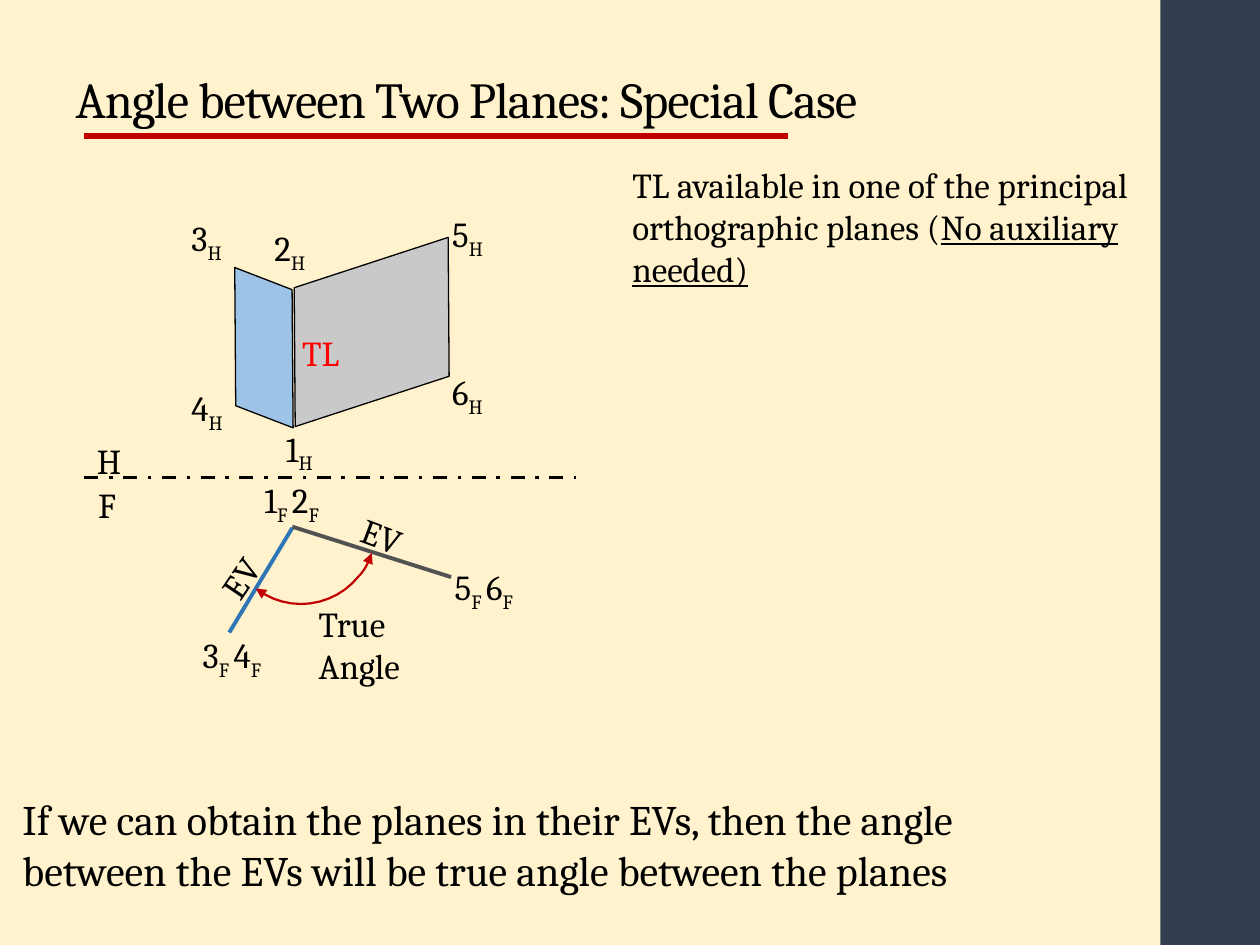
from dataclasses import dataclass

from lxml import etree
from pptx import Presentation, util as u
from pptx.dml.color import RGBColor
from pptx.enum import dml, shapes, text
from pptx.oxml.ns import qn


@dataclass(frozen=True)
class Theme:
    font: str = "Cambria"
    title_size: float = 28.8
    label_size: float = 20
    summary_size: float = 24
    background: str = "FFF2CC"
    sidebar: str = "333F50"
    ink: str = "000000"
    accent: str = "C00000"
    true_length: str = "FF0000"
    gray_plane: str = "C9C9C9"
    blue_plane: str = "9DC3E6"
    gray_edge: str = "525252"
    blue_edge: str = "2E75B6"


def rgb(color):
    return RGBColor.from_string(color)


def bezier(start, first, second, end, steps=12):
    """Points along a cubic curve, without its start."""
    points = []
    for step in range(1, steps + 1):
        t = step / steps
        weights = ((1 - t) ** 3, 3 * t * (1 - t) ** 2, 3 * t * t * (1 - t), t ** 3)
        points.append(tuple(sum(w * p[axis] for w, p in zip(weights, (start, first, second, end)))
                            for axis in (0, 1)))
    return points


class SlideBuilder:
    def __init__(self, page, theme):
        self.page = page
        self.theme = theme
        page.background.fill.solid()
        page.background.fill.fore_color.rgb = rgb(theme.background)

    def style_runs(self, para, size, color):
        for span in para.runs:
            span.font.name = self.theme.font
            span.font.size = u.Pt(size)
            span.font.color.rgb = rgb(color)

    def title(self, words, left, top, width, height):
        box = self.page.shapes.title
        box.left, box.top, box.width, box.height = map(u.Inches, (left, top, width, height))
        frame = box.text_frame
        frame.text = words
        frame.auto_size = text.MSO_AUTO_SIZE.NONE
        frame.vertical_anchor = text.MSO_ANCHOR.BOTTOM
        para = frame.paragraphs[0]
        para.alignment = text.PP_ALIGN.LEFT
        para.line_spacing = 0.9
        self.style_runs(para, self.theme.title_size, self.theme.ink)
        para.runs[0].font._element.set("spc", "-50")

    def shape(self, kind, left, top, width, height, fill, outline=None,
              rotation=0, slant=None, flip=False):
        shape = self.page.shapes.add_shape(kind, *map(u.Inches, (left, top, width, height)))
        shape.shadow.inherit = False
        shape.fill.solid()
        shape.fill.fore_color.rgb = rgb(fill)
        if outline:
            shape.line.color.rgb = rgb(outline)
            shape.line.width = u.Pt(0.75)
        else:
            shape.line.fill.background()
        shape.rotation = rotation
        if slant is not None:
            shape.adjustments[0] = slant
        if flip:
            shape._element.spPr.find(qn("a:xfrm")).set("flipV", "1")

    def line(self, start, end, color, width, dash=None):
        line = self.page.shapes.add_connector(
            shapes.MSO_CONNECTOR.STRAIGHT, *map(u.Inches, (*start, *end)))
        line.line.color.rgb = rgb(color)
        line.line.width = u.Pt(width)
        if dash:
            line.line.dash_style = dash
        etree.SubElement(line._element.spPr, qn("a:effectLst"))

    def double_arrow(self, points, color, width):
        places = [tuple(map(u.Inches, point)) for point in points]
        builder = self.page.shapes.build_freeform(*places[0])
        builder.add_line_segments(places[1:], close=False)
        curve = builder.convert_to_shape()
        curve.shadow.inherit = False
        curve.fill.background()
        curve.line.color.rgb = rgb(color)
        curve.line.width = u.Pt(width)
        outline = curve._element.spPr.find(qn("a:ln"))
        for end in ("a:headEnd", "a:tailEnd"):
            etree.SubElement(outline, qn(end), type="triangle")

    def text(self, lines, left, top, width, height, size=None, color=None,
             rotation=0, wrap=False, underline=False):
        """Every second piece between bars is a subscript, or underlined."""
        box = self.page.shapes.add_textbox(*map(u.Inches, (left, top, width, height)))
        box.rotation = rotation
        frame = box.text_frame
        frame.word_wrap = wrap
        frame.auto_size = text.MSO_AUTO_SIZE.SHAPE_TO_FIT_TEXT
        for number, words in enumerate(lines):
            para = frame.add_paragraph() if number else frame.paragraphs[0]
            for index, piece in enumerate(words.split("|")):
                span = para.add_run()
                span.text = piece
                if index % 2 and underline:
                    span.font.underline = True
                elif index % 2:
                    span.font._element.set("baseline", "-25000")
            self.style_runs(para, size or self.theme.label_size, color or self.theme.ink)


def main():
    theme = Theme()
    deck = Presentation()
    deck.slide_width, deck.slide_height = u.Inches(10), u.Inches(7.5)
    slide = SlideBuilder(deck.slides.add_slide(deck.slide_layouts[5]), theme)
    preset = shapes.MSO_SHAPE

    slide.shape(preset.RECTANGLE, 9.21, 0, 0.79, 7.5, theme.sidebar)
    slide.title("Angle between Two Planes: Special Case", 0.5, 0.08, 7.95, 1)
    slide.line((0.67, 1.08), (6.25, 1.08), theme.accent, 3)

    # Top view: the two planes, meeting in a true-length edge
    slide.shape(preset.PARALLELOGRAM, 2.14, 2.11, 1.62, 1.05, theme.gray_plane,
                theme.ink, rotation=161.9, slant=0.319)
    slide.shape(preset.PARALLELOGRAM, 1.65, 2.25, 0.89, 1.02, theme.blue_plane,
                theme.ink, rotation=21.1, slant=0.452, flip=True)

    # Front view: both planes seen as edges
    slide.line((1.82, 5.02), (2.32, 4.19), theme.blue_edge, 2.25)
    slide.line((2.32, 4.18), (3.58, 4.58), theme.gray_edge, 2.25)
    slide.line((0.67, 3.79), (4.57, 3.79), theme.ink, 2, dml.MSO_LINE.DASH_DOT)

    slide.text(["H"], 0.67, 3.44, 0.44, 0.44)
    slide.text(["F"], 0.68, 3.79, 0.39, 0.44)
    for point, left, top in ((1, 2.17, 3.34), (2, 2.08, 1.75), (4, 1.42, 3.02),
                             (3, 1.42, 1.67), (5, 3.49, 1.64), (6, 3.49, 2.89)):
        slide.text([f"{point}|H"], left, top, 0.51, 0.44)
    slide.text(["TL"], 2.3, 2.58, 0.58, 0.44, color=theme.true_length)
    for near, far, left, top in ((1, 2, 2, 3.75), (3, 4, 1.51, 4.98), (5, 6, 3.51, 4.44)):
        slide.text([f"{near}|F |{far}|F"], left, top, 0.82, 0.44)
    for left, top, rotation in ((1.63, 4.33, 304), (2.77, 4.05, 20.7)):
        slide.text(["EV"], left, top, 0.61, 0.44, rotation=rotation)

    start, middle, end = (2.03, 4.67), (2.85, 4.57), (2.95, 4.39)
    arc = [start, *bezier(start, (2.29, 4.87), (2.65, 4.82), middle),
           *bezier(middle, (2.9, 4.52), (2.93, 4.45), end)]
    slide.double_arrow(arc, theme.accent, 1.25)
    slide.text(["True", "Angle"], 2.43, 4.73, 1.03, 0.77)

    slide.text(["If we can obtain the planes in their EVs, then the angle",
                "between the EVs will be true angle between the planes"],
               0.08, 6.25, 9, 0.91, size=theme.summary_size, wrap=True)
    slide.text(["TL available in one of the principal orthographic planes (|No auxiliary needed)"],
               4.92, 1.25, 4.33, 1.11, wrap=True, underline=True)
    deck.save("out.pptx")


if __name__ == "__main__":
    main()
